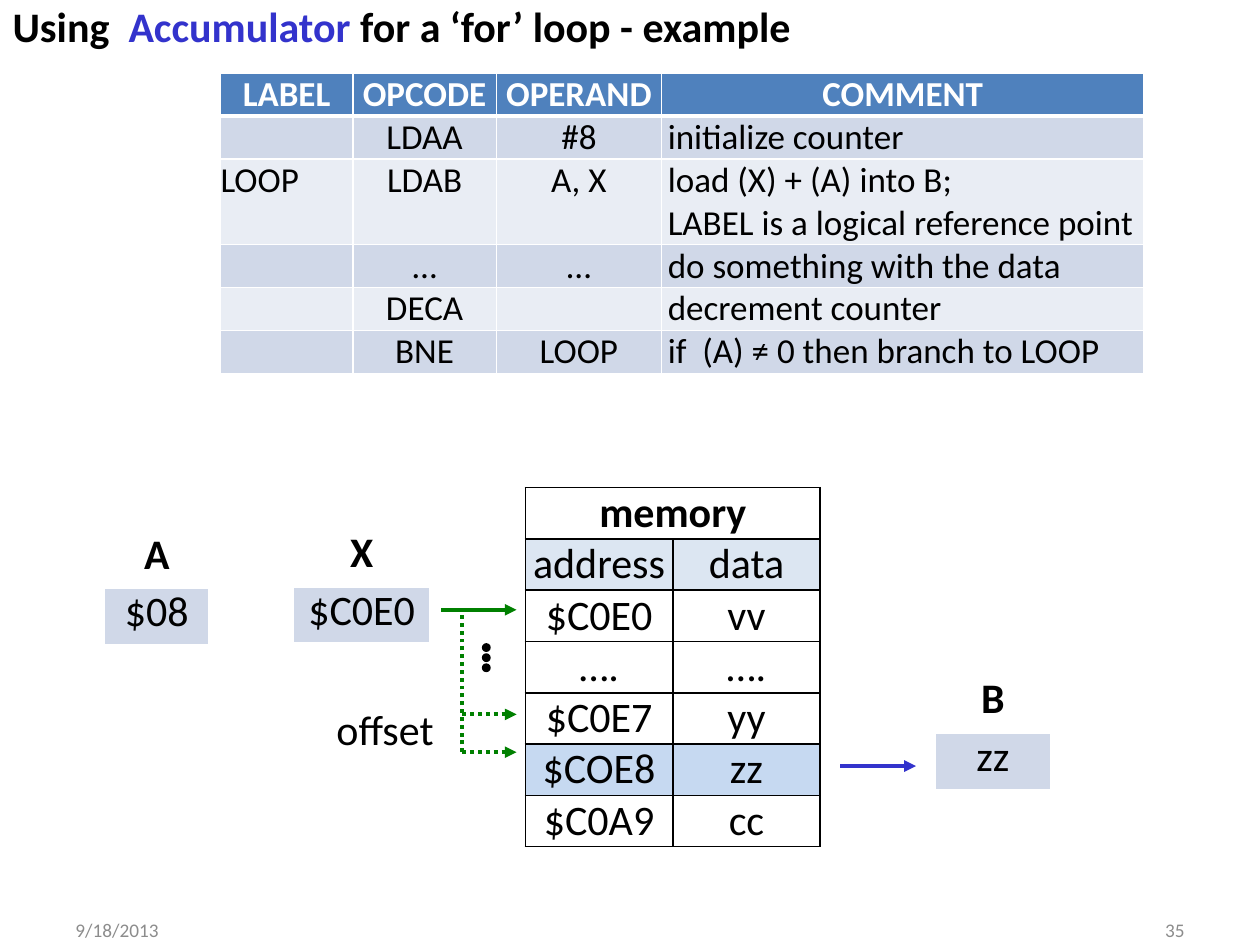
from dataclasses import dataclass

import pptx
import pptx.dml.color
import pptx.enum.dml
import pptx.enum.shapes
import pptx.enum.text
import pptx.oxml
import pptx.oxml.ns
import pptx.util
from lxml import etree

Inches = pptx.util.Inches
Align = pptx.enum.text.PP_ALIGN
Anchor = pptx.enum.text.MSO_ANCHOR


@dataclass(frozen=True)
class Theme:
    font: str = "Calibri"
    black: str = "000000"
    white: str = "FFFFFF"
    gray: str = "8C8C8C"
    blue: str = "3333CC"
    green: str = "008000"
    header: str = "4F81BD"
    band: str = "D0D8E8"
    light_band: str = "E9EDF4"
    memory_header: str = "DCE6F2"
    memory_selected: str = "C6D9F1"
    large: int = 24
    code: int = 20
    footer: int = 11


THEME = Theme()


@dataclass(frozen=True)
class Register:
    name: str
    value: str
    left: float
    top: float
    width: float


@dataclass(frozen=True)
class Arrow:
    start: tuple[float, float]
    end: tuple[float, float]
    color: str = THEME.green
    dotted: bool = True
    head: bool = True


def rgb(color: str):
    return pptx.dml.color.RGBColor.from_string(color)


def add_text(paragraph, text: str, *, size: int = THEME.large, color: str = THEME.black,
             bold: bool = False, align=Align.LEFT) -> None:
    paragraph.alignment = align
    run = paragraph.add_run()
    run.text = text
    run.font.name = THEME.font
    run.font.size = pptx.util.Pt(size)
    run.font.bold = bold
    run.font.color.rgb = rgb(color)


def set_margins(frame, left: float = 0, right: float = 0, bottom: float = 0) -> None:
    frame.margin_left, frame.margin_right = Inches(left), Inches(right)
    frame.margin_top, frame.margin_bottom = 0, Inches(bottom)


def add_label(slide, text: str, left: float, top: float, width: float, height: float,
              *, inset: float = 0, wrap: bool = False, anchor=Anchor.TOP, **text_format) -> None:
    box = slide.shapes.add_textbox(Inches(left), Inches(top), Inches(width), Inches(height))
    frame = box.text_frame
    frame.word_wrap = wrap
    frame.vertical_anchor = anchor
    set_margins(frame, inset, inset)
    add_text(frame.paragraphs[0], text, **text_format)


def add_table(slide, left: float, top: float, widths: list[float], heights: list[float]):
    frame = slide.shapes.add_table(len(heights), len(widths), Inches(left), Inches(top),
                                   Inches(sum(widths)), Inches(sum(heights)))
    table = frame.table
    table.first_row = table.horz_banding = False
    for column, width in zip(table.columns, widths):
        column.width = Inches(width)
    for row, height in zip(table.rows, heights):
        row.height = Inches(height)
    return table


def format_cell(cell, text: str, *, fill: str | None = None, border: str = THEME.white,
                bottom_width: float = 1, left_margin: float = 0, bottom_margin: float = 0,
                align=Align.CENTER, **text_format) -> None:
    set_margins(cell, left_margin, 0, bottom_margin)
    if fill:
        cell.fill.solid()
        cell.fill.fore_color.rgb = rgb(fill)
    else:
        cell.fill.background()
    # Borders come before the fill in the cell properties
    properties = cell._tc.get_or_add_tcPr()
    for index, side in enumerate(("lnL", "lnR", "lnT", "lnB")):
        width = pptx.util.Pt(bottom_width if side == "lnB" else 1)
        properties.insert(index, pptx.oxml.parse_xml(
            f'<a:{side} {pptx.oxml.ns.nsdecls("a")} w="{width}"><a:solidFill>'
            f'<a:srgbClr val="{border}"/></a:solidFill></a:{side}>'))
    for index, line in enumerate(text.split("\n") if text else []):
        frame = cell.text_frame
        paragraph = frame.add_paragraph() if index else frame.paragraphs[0]
        add_text(paragraph, line, align=align, **text_format)


def add_code_table(slide) -> None:
    rows = [
        ("LABEL", "OPCODE", "OPERAND", "COMMENT"),
        ("", "LDAA", "#8", "initialize counter"),
        ("LOOP", "LDAB", "A, X",
         "load (X) + (A) into B;\nLABEL is a logical reference point"),
        ("", "…", "…", "do something with the data"),
        ("", "DECA", "", "decrement counter"),
        ("", "BNE", "LOOP", "if  (A) ≠ 0 then branch to LOOP"),
    ]
    heights = [0.33 * (1 + max(text.count("\n") for text in row)) for row in rows]
    table = add_table(slide, 1.75, 0.58, [1.05, 1.14, 1.31, 3.83], heights)
    for row_index, row in enumerate(rows):
        for column_index, text in enumerate(row):
            cell = table.cell(row_index, column_index)
            if row_index == 0:
                format_cell(cell, text, fill=THEME.header, bottom_width=3,
                            size=THEME.code, color=THEME.white, bold=True)
                continue
            format_cell(cell, text, fill=THEME.band if row_index % 2 else THEME.light_band,
                        left_margin=0.05 if column_index == 3 else 0,
                        align=Align.LEFT if column_index in (0, 3) else Align.CENTER,
                        size=THEME.code)


def add_memory_table(slide) -> None:
    rows = [("memory", ""), ("address", "data"), ("$C0E0", "vv"), ("….", "…."),
            ("$C0E7", "yy"), ("$COE8", "zz"), ("$C0A9", "cc")]
    fills = {1: THEME.memory_header, 5: THEME.memory_selected, 6: THEME.white}
    table = add_table(slide, 4.17, 3.87, [1.17] * 2, [0.4] * len(rows))
    table.cell(0, 0).merge(table.cell(0, 1))
    for row_index, row in enumerate(rows):
        for column_index, text in enumerate(row):
            format_cell(table.cell(row_index, column_index), text, fill=fills.get(row_index),
                        border=THEME.black, bold=row_index == 0)


def add_register(slide, register: Register) -> None:
    table = add_table(slide, register.left, register.top, [register.width], [0.45] * 2)
    format_cell(table.cell(0, 0), register.name, bottom_width=3, bottom_margin=0.05, bold=True)
    format_cell(table.cell(1, 0), register.value, fill=THEME.band, bottom_margin=0.05)


def add_arrow(slide, arrow: Arrow) -> None:
    connector = slide.shapes.add_connector(
        pptx.enum.shapes.MSO_CONNECTOR.STRAIGHT,
        *(Inches(value) for value in arrow.start + arrow.end))
    connector.line.color.rgb = rgb(arrow.color)
    connector.line.width = pptx.util.Pt(2.25)
    if arrow.dotted:
        connector.line.dash_style = pptx.enum.dml.MSO_LINE.ROUND_DOT
    if arrow.head:
        line = connector.line._get_or_add_ln()
        etree.SubElement(line, pptx.oxml.ns.qn("a:tailEnd"), type="triangle")
    etree.SubElement(connector._element.spPr, pptx.oxml.ns.qn("a:effectLst"))


presentation = pptx.Presentation()
presentation.slide_width, presentation.slide_height = Inches(10), Inches(7.5)
slide = presentation.slides.add_slide(presentation.slide_layouts[5])

# Title
title = slide.shapes.title
title.left, title.top, title.width, title.height = Inches(0.1), 0, Inches(6.23), Inches(0.4)
title_frame = title.text_frame
title_frame.word_wrap = False
title_frame.auto_size = pptx.enum.text.MSO_AUTO_SIZE.NONE
title_frame.vertical_anchor = Anchor.TOP
set_margins(title_frame)
for text, color in (("Using  ", THEME.black), ("Accumulator", THEME.blue),
                    (" for a ‘for’ loop - example", THEME.black)):
    add_text(title_frame.paragraphs[0], text, color=color, bold=True)

# Tables and registers
add_code_table(slide)
add_memory_table(slide)
for register in (Register("A", "$08", 0.83, 4.2, 0.83),
                 Register("X", "$C0E0", 2.33, 4.19, 1.08),
                 Register("B", "zz", 7.42, 5.35, 0.92)):
    add_register(slide, register)

# Arrows and offset
for arrow in (Arrow((3.5, 4.84), (4.1, 4.84), dotted=False),
              Arrow((3.67, 5.97), (3.67, 4.83), head=False),
              Arrow((3.67, 5.67), (4.1, 5.67)),
              Arrow((3.67, 5.97), (4.1, 5.97)),
              Arrow((6.67, 6.08), (7.27, 6.08), color=THEME.blue, dotted=False)):
    add_arrow(slide, arrow)
add_label(slide, "offset", 2.67, 5.58, 0.86, 0.4)

# Vertical ellipsis
for index in range(3):
    dot = slide.shapes.add_shape(pptx.enum.shapes.MSO_SHAPE.OVAL, Inches(3.83),
                                 Inches(5.11 + 0.08 * index), Inches(0.06), Inches(0.06))
    dot.shadow.inherit = False
    dot.fill.solid()
    dot.fill.fore_color.rgb = rgb(THEME.black)
    dot.line.color.rgb = rgb(THEME.black)
    dot.line.width = pptx.util.Pt(0.75)

# Footer
for text, left, align in (("9/18/2013", 0.5, Align.LEFT), ("35", 7.17, Align.RIGHT)):
    add_label(slide, text, left, 7.29, 2.33, 0.18, inset=0.1, wrap=True, anchor=Anchor.MIDDLE,
              size=THEME.footer, color=THEME.gray, align=align)

presentation.save("out.pptx")
